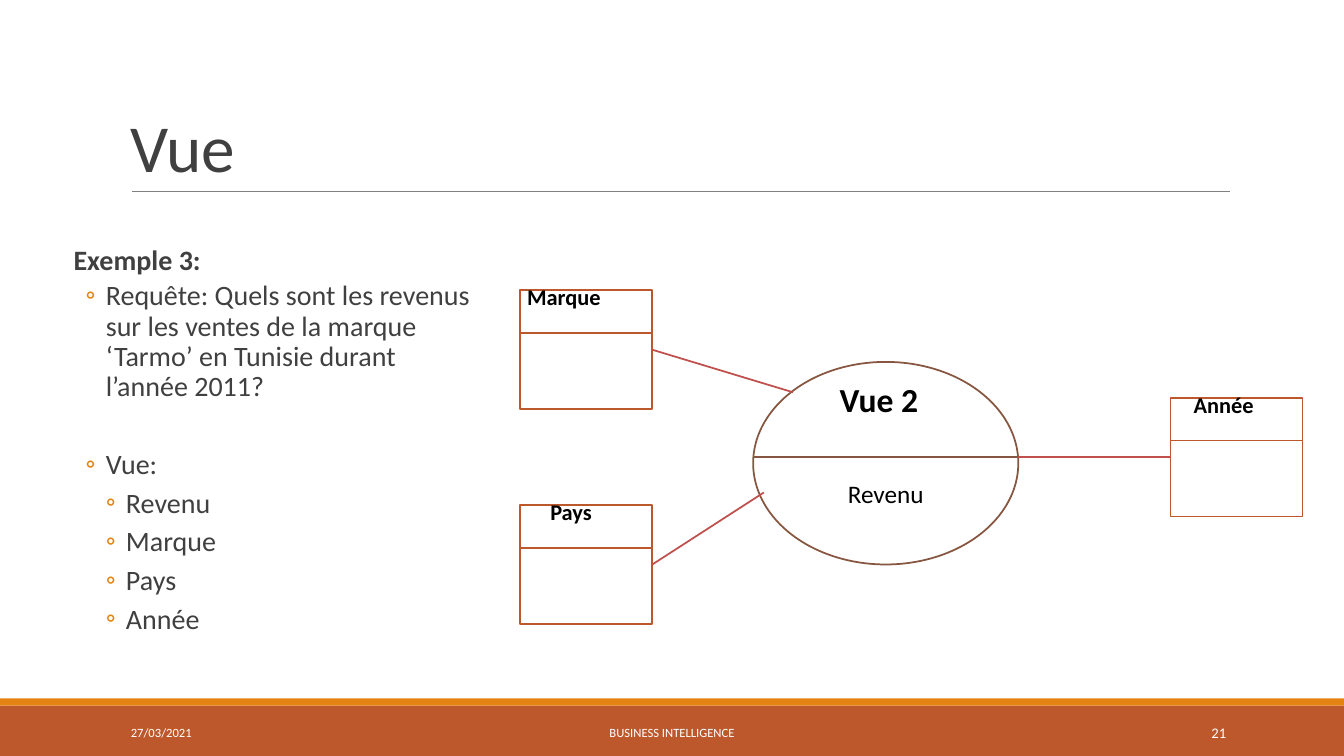
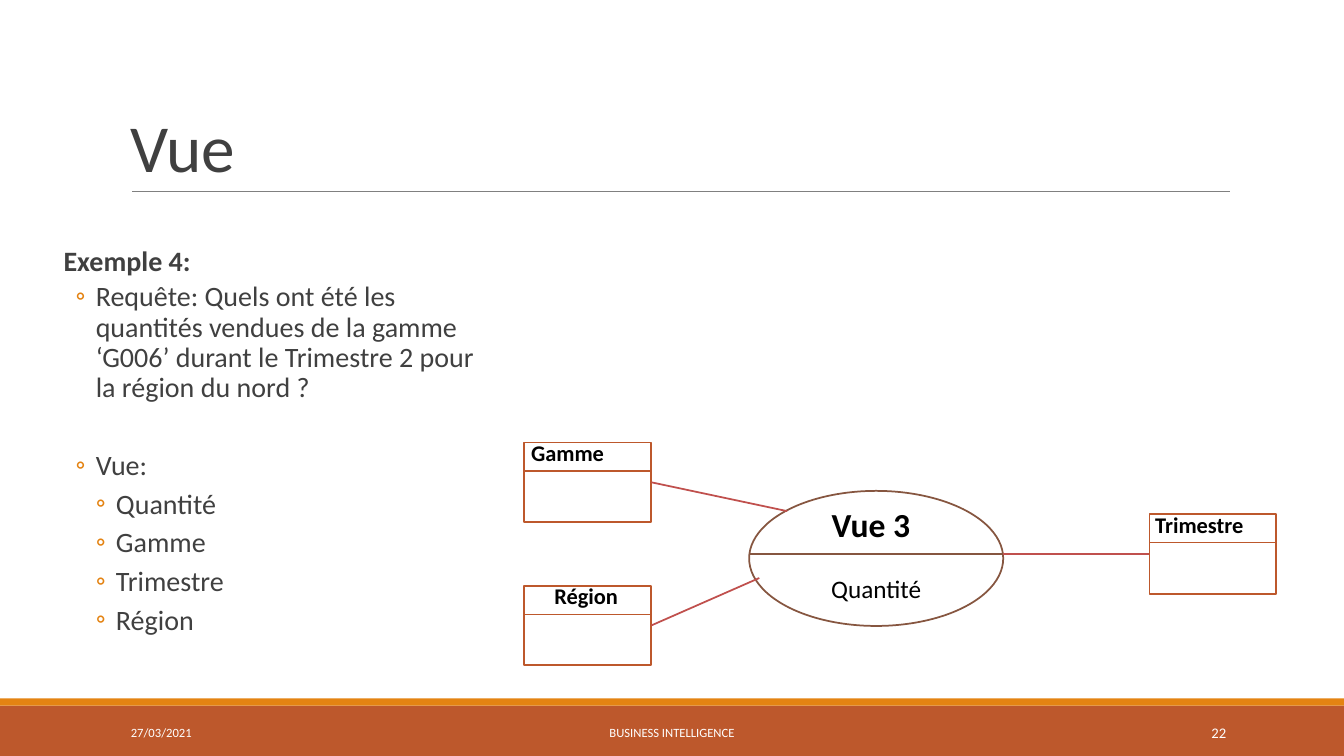
from lxml import etree
from pptx import Presentation
from pptx.dml.color import RGBColor
from pptx.enum.shapes import MSO_CONNECTOR, MSO_SHAPE
from pptx.enum.text import MSO_ANCHOR, PP_ALIGN
from pptx.oxml.ns import qn
from pptx.util import Inches, Pt

LINE = MSO_CONNECTOR.STRAIGHT
RECT, OVAL = MSO_SHAPE.RECTANGLE, MSO_SHAPE.OVAL
TOP, MID, LOW = MSO_ANCHOR.TOP, MSO_ANCHOR.MIDDLE, MSO_ANCHOR.BOTTOM
LEFT, CENTER, RIGHT = PP_ALIGN.LEFT, PP_ALIGN.CENTER, PP_ALIGN.RIGHT

FONT = "Calibri"
RUST, AMBER, BROWN, RED = "BD582C", "E48312", "865640", "C0504D"
GRAY, DARK, BLACK, WHITE = "808080", "404040", "000000", "FFFFFF"

TITLE = "Vue"
DATE = "27/03/2021"
COURSE = "BUSINESS INTELLIGENCE"
FIRST = 21

SLIDES = [
    {
        "head": "Exemple 3:",
        "query": "Requête: Quels sont les revenus sur les ventes de la marque "
                 "‘Tarmo’ en Tunisie durant l’année 2011?",
        "items": ["Revenu", "Marque", "Pays", "Année"],
        "body": (0.63, 2.39, 4.04, 4.23),
        "size": (1.31, 1.18),
        "left": (5.16, [("Marque", 2.88, -0.03), ("Pays", 5.01, 0.2)]),
        "right": (11.61, "Année", 0.13),
        "oval": (7.47, 3.59, 2.63, 2.01),
        "view": ("Vue 2", 0.76, "Revenu"),
    },
    {
        "head": "Exemple 4:",
        "query": "Requête: Quels ont été les quantités vendues de la gamme "
                 "‘G006’ durant le Trimestre 2 pour la région du nord ?",
        "items": ["Quantité", "Gamme", "Trimestre", "Région"],
        "body": (0.53, 2.4, 4.32, 4.23),
        "size": (1.26, 0.79),
        "left": (5.2, [("Gamme", 4.39, -0.03), ("Région", 5.81, 0.2)]),
        "right": (11.4, "Trimestre", -0.04),
        "oval": (7.43, 4.87, 2.52, 1.34),
        "view": ("Vue 3", 0.72, "Quantité"),
    },
]

HEAD = 0.36
TIPS = [(0.15, 0.15), (0.04, 0.645)]


def color(code):
    return RGBColor.from_string(code)


def write(para, text, size=20, ink=DARK, bold=False, align=LEFT,
          lead=None, before=0, after=0, track=None):
    para.alignment = align
    para.space_before, para.space_after = Pt(before), Pt(after)
    if lead:
        para.line_spacing = lead
    run = para.add_run()
    run.text = text
    font = run.font
    font.name, font.size, font.bold = FONT, Pt(size), bold
    font.color.rgb = color(ink)
    if track:
        run._r.get_or_add_rPr().set("spc", str(track))


def frame(slide, area, anchor=TOP, wrap=True):
    text = slide.shapes.add_textbox(*map(Inches, area)).text_frame
    text.word_wrap = wrap
    text.vertical_anchor = anchor
    return text


def label(slide, area, text, anchor=TOP, wrap=True, **style):
    write(frame(slide, area, anchor, wrap).paragraphs[0], text, **style)


def shape(slide, kind, area, fill, edge=None):
    part = slide.shapes.add_shape(kind, *map(Inches, area))
    part.shadow.inherit = False
    part.fill.solid()
    part.fill.fore_color.rgb = color(fill)
    if edge:
        part.line.color.rgb = color(edge)
        part.line.width = Pt(1.25)
    else:
        part.line.fill.background()
    return part


def line(slide, start, end, ink, width):
    link = slide.shapes.add_connector(LINE, *map(Inches, (*start, *end)))
    link.line.color.rgb = color(ink)
    link.line.width = Pt(width)
    etree.SubElement(link._element.spPr, qn("a:effectLst"))
    return link


def indent(para, left, hang=0):
    props = para._p.get_or_add_pPr()
    props.set("marL", str(Inches(left)))
    props.set("indent", str(Inches(-hang)))
    if hang:
        tint = etree.SubElement(props, qn("a:buClr"))
        etree.SubElement(tint, qn("a:srgbClr")).set("val", AMBER)
        etree.SubElement(props, qn("a:buFont")).set("typeface", FONT)
        etree.SubElement(props, qn("a:buChar")).set("char", "◦")


def base(slide, number):
    shape(slide, RECT, (0, 7, 13.33, 0.5), RUST)
    shape(slide, RECT, (0, 6.93, 13.33, 0.07), AMBER)
    line(slide, (1.31, 1.9), (12.2, 1.9), GRAY, 0.5)
    label(slide, (1.2, 0.31, 11, 1.59), TITLE, LOW, size=48, lead=0.85, track=-50)
    for left, width, text, size, align in [
        (1.2, 2.7, DATE, 9, LEFT),
        (4.03, 5.27, COURSE, 9, CENTER),
        (10.83, 1.43, str(number), 10.5, RIGHT),
    ]:
        label(slide, (left, 7.07, width, 0.4), text, MID,
              size=size, ink=WHITE, align=align)


def body(slide, data):
    text = frame(slide, data["body"])
    text.margin_left = text.margin_right = 0
    head = text.paragraphs[0]
    indent(head, 0.1)
    write(head, data["head"], bold=True, lead=0.9, after=2)
    rows = [(data["query"], 0.42, 2), ("Vue:", 0.42, 30)]
    rows += [(item, 0.62, 2) for item in data["items"]]
    for words, left, before in rows:
        para = text.add_paragraph()
        indent(para, left, 0.2)
        write(para, words, lead=0.9, before=before, after=4)


def box(slide, left, top, size, name, shift):
    width, height = size
    part = shape(slide, RECT, (left, top, width, height), WHITE, RUST)
    rule = top + HEAD * height
    line(slide, (left, rule), (left + width, rule), RUST, 1)
    label(slide, (left + shift, top - 0.1 * height, 1.1, 0.37), name,
          wrap=False, size=16, ink=BLACK, bold=True)
    return part


def graph(slide, data):
    size = wide, high = data["size"]
    x, y, width, height = data["oval"]
    name, shift, value = data["view"]
    left, pair = data["left"]
    far, last, nudge = data["right"]
    top = sum(row[1] for row in pair) / len(pair)
    mid = top + high / 2

    oval = shape(slide, OVAL, data["oval"], WHITE, BROWN)
    text = oval.text_frame
    text.vertical_anchor = MID
    text.margin_top = Inches(0.65)
    write(text.paragraphs[0], value, size=18, ink=BLACK, align=CENTER)
    line(slide, (x, mid), (x + width, mid), BROWN, 1)
    label(slide, (x + shift, y + 0.06 * height, 1.16, 0.5), name,
          wrap=False, size=24, ink=BLACK, bold=True)

    for (word, level, step), (across, down) in zip(pair, TIPS):
        part = box(slide, left, level, size, word, step)
        link = line(slide, (left + wide, level + high / 2),
                    (x + across * width, y + down * height), RED, 1.25)
        link.begin_connect(part, 3)
    part = box(slide, far, top, size, last, nudge)
    link = line(slide, (far, mid), (x + width, mid), RED, 1.25)
    link.begin_connect(part, 1)


def main():
    deck = Presentation()
    deck.slide_width, deck.slide_height = Inches(13.33), Inches(7.5)
    for number, data in enumerate(SLIDES, FIRST):
        slide = deck.slides.add_slide(deck.slide_layouts[6])
        base(slide, number)
        body(slide, data)
        graph(slide, data)
    deck.save("out.pptx")


if __name__ == "__main__":
    main()
